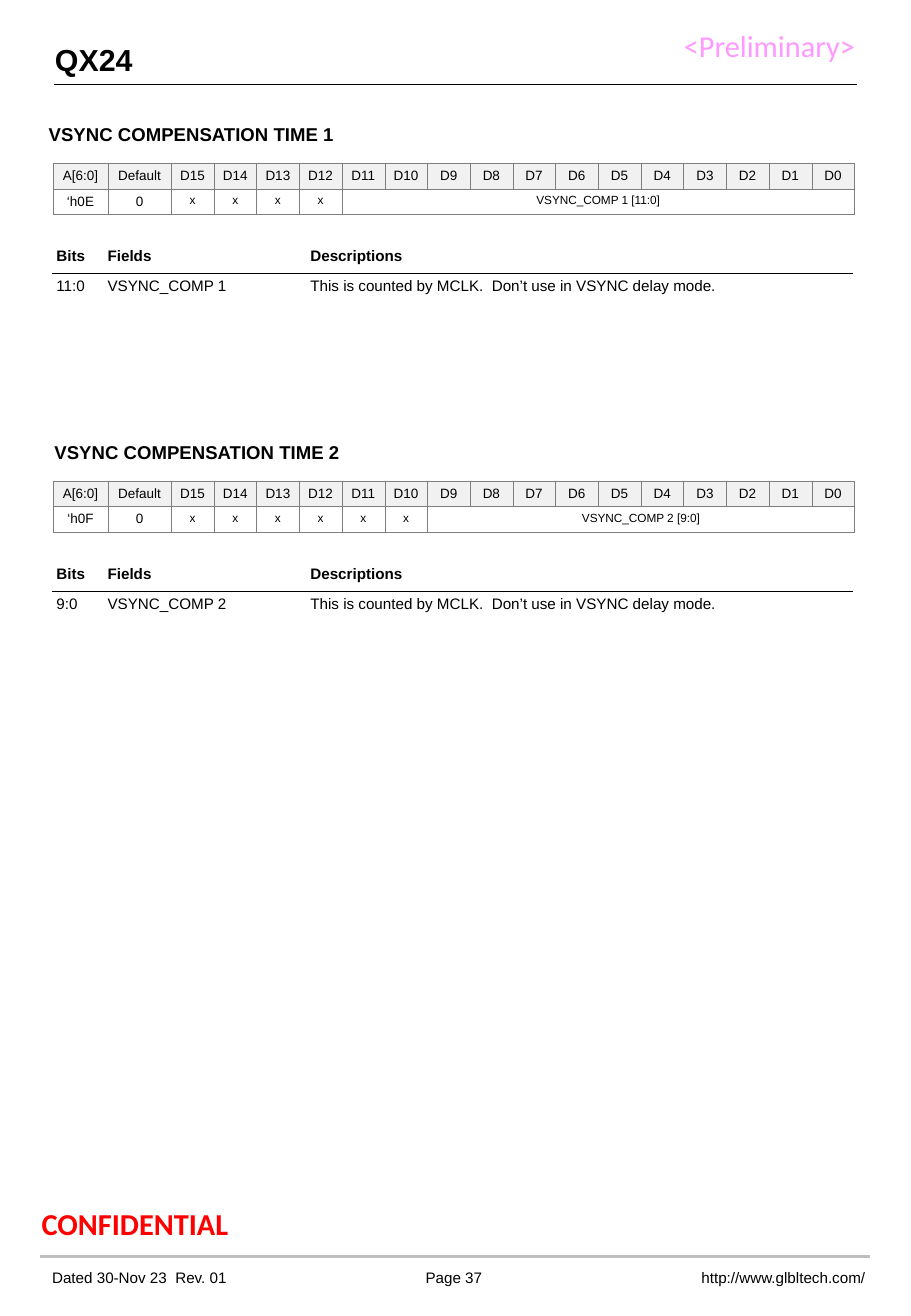
import pptx
import pptx.util
import pptx.dml.color
import pptx.enum.text
import pptx.enum.shapes
import pptx.oxml.ns
from lxml import etree

Cm = pptx.util.Cm
Pt = pptx.util.Pt
qn = pptx.oxml.ns.qn
ALIGN = pptx.enum.text.PP_ALIGN
ANCHOR = pptx.enum.text.MSO_ANCHOR

COLORS = {
    "text": "000000",
    "grid": "7E7E7E",
    "header": "F1F1F1",
    "footer_rule": "BFBFBF",
    "confidential": "FF0000",
    "preliminary": "FF99FF",
}


def rgb(name):
    """Return the named colour."""
    return pptx.dml.color.RGBColor.from_string(COLORS[name])


def style(p, size, bold=False, color="text", font="Arial", align=ALIGN.LEFT):
    """Format a paragraph and its runs."""
    p.alignment = align
    for r in p.runs:
        r.font.size = Pt(size)
        r.font.bold = bold
        r.font.name = font
        r.font.color.rgb = rgb(color)


def add_text(s, text, left, top, width, height, size, anchor=ANCHOR.TOP, **look):
    """Add a text box without insets."""
    tf = s.shapes.add_textbox(Cm(left), Cm(top), Cm(width), Cm(height)).text_frame
    tf.word_wrap = True
    tf.margin_left = tf.margin_right = tf.margin_top = tf.margin_bottom = 0
    tf.vertical_anchor = anchor
    tf.text = text
    style(tf.paragraphs[0], size, **look)


def add_rule(s, left, top, width, color, weight):
    """Add a horizontal line."""
    sp = s.shapes.add_connector(
        pptx.enum.shapes.MSO_CONNECTOR.STRAIGHT,
        Cm(left), Cm(top), Cm(left + width), Cm(top))
    sp.line.color.rgb = rgb(color)
    sp.line.width = Pt(weight)
    etree.SubElement(sp._element.spPr, qn("a:effectLst"))


def set_borders(cell, sides, color):
    """Draw the given sides of a cell and clear the others."""
    tc_pr = cell._tc.get_or_add_tcPr()
    for side in "LRTB":
        ln = etree.SubElement(tc_pr, qn("a:ln" + side), w=str(Pt(0.25)))
        if side in sides:
            fill = etree.SubElement(ln, qn("a:solidFill"))
            etree.SubElement(fill, qn("a:srgbClr"), val=COLORS[color])
        else:
            etree.SubElement(ln, qn("a:noFill"))


def add_table(s, left, top, widths, heights):
    """Add a table without banding and return it."""
    table = s.shapes.add_table(
        len(heights), len(widths), Cm(left), Cm(top),
        Cm(sum(widths)), Cm(sum(heights))).table
    table.first_row = table.horz_banding = False
    for column, width in zip(table.columns, widths):
        column.width = Cm(width)
    for row, height in zip(table.rows, heights):
        row.height = Cm(height)
    return table


def fill_cell(cell, text, margins, size, **look):
    """Write a cell with its left, top, right and bottom margins."""
    (cell.margin_left, cell.margin_top,
     cell.margin_right, cell.margin_bottom) = [Cm(m) for m in margins]
    cell.text_frame.text = text
    style(cell.text_frame.paragraphs[0], size, **look)


def register_table(s, left, top, width, address, field, bits):
    """Draw the bit map of a register whose field fills the low bits."""
    widths = [1.15, 1.32] + [(width - 2.47) / 16] * 16
    table = add_table(s, left, top, widths, [0.53, 0.53])
    names = ["A[6:0]", "Default"] + [f"D{n}" for n in range(15, -1, -1)]
    unused = 16 - bits
    label = f"{field} [{bits - 1}:0]"
    values = [address, "0"] + ["x"] * unused + [label] + [""] * (bits - 1)
    for i, row in enumerate([names, values]):
        for j, text in enumerate(row):
            cell = table.cell(i, j)
            size = 7 if i == 1 and j > 1 else 8
            fill_cell(cell, text, (0, 0.1, 0, 0), size, align=ALIGN.CENTER)
            set_borders(cell, "LRTB", "grid")
            if i == 0:
                cell.fill.solid()
                cell.fill.fore_color.rgb = rgb("header")
            else:
                cell.fill.background()
    table.cell(1, 2 + unused).merge(table.cell(1, 17))


def field_table(s, left, top, width, field, bits):
    """Draw the description of a register field."""
    table = add_table(s, left, top, [1.07, 4.24, width - 5.31], [0.71, 1.27])
    rows = [
        ["Bits", "Fields", "Descriptions"],
        [f"{bits - 1}:0", field,
         "This is counted by MCLK.  Don’t use in VSYNC delay mode."],
    ]
    for i, row in enumerate(rows):
        for j, text in enumerate(row):
            cell = table.cell(i, j)
            fill_cell(cell, text, (0.1,) * 4, 9, bold=i == 0)
            cell.vertical_anchor = ANCHOR.TOP if i else ANCHOR.MIDDLE
            set_borders(cell, "T" if i else "B", "text")
            cell.fill.background()


def register_section(s, left, top, width, number, address, bits, heading_left):
    """Draw the heading, bit map and field description of a register."""
    field = f"VSYNC_COMP {number}"
    add_text(s, f"VSYNC COMPENSATION TIME {number}", heading_left, top,
             width, 0.53, 11, bold=True)
    register_table(s, left, top + 0.85, width, address, field, bits)
    field_table(s, left - 0.03, top + 2.43, width, field, bits)


def page_header(s, left, top, width):
    """Draw the part name, the status and the rule below them."""
    add_text(s, "QX24", left + 0.03, top + 0.3, 4, 0.84, 18, bold=True)
    add_text(s, "<Preliminary>", left + 13.18, top, 4.01, 0.76, 18,
             color="preliminary", font="Calibri")
    add_rule(s, left, top + 1.21, width, "text", 0.5)


def page_footer(s, left, top, width):
    """Draw the notice, the rule and the footer line."""
    add_text(s, "CONFIDENTIAL", left + 0.03, top, 5.77, 0.81, 18, bold=True,
             color="confidential", font="Calibri")
    add_rule(s, left, top + 1.07, width, "footer_rule", 2.04)
    line = dict(top=top + 1.27, height=0.45, size=9, anchor=ANCHOR.MIDDLE)
    add_text(s, "Dated 30-Nov 23  Rev. 01", left + 0.25, width=5.2, **line)
    add_text(s, "Page 37", left + 7.4, width=2.5, align=ALIGN.CENTER, **line)
    add_text(s, "http://www.glbltech.com/", left + 13.25, width=4,
             align=ALIGN.RIGHT, **line)


def main():
    """Build the register page."""
    prs = pptx.Presentation()
    prs.slide_width, prs.slide_height = Cm(19.05), Cm(27.51)
    s = prs.slides.add_slide(prs.slide_layouts[6])
    page_header(s, 1.12, 0.56, 16.81)
    register_section(s, 1.11, 2.57, 16.76, 1, "‘h0E", 12, 1.02)
    register_section(s, 1.11, 9.21, 16.76, 2, "‘h0F", 10, 1.14)
    page_footer(s, 0.84, 25.2, 17.35)
    prs.save("out.pptx")


if __name__ == "__main__":
    main()
